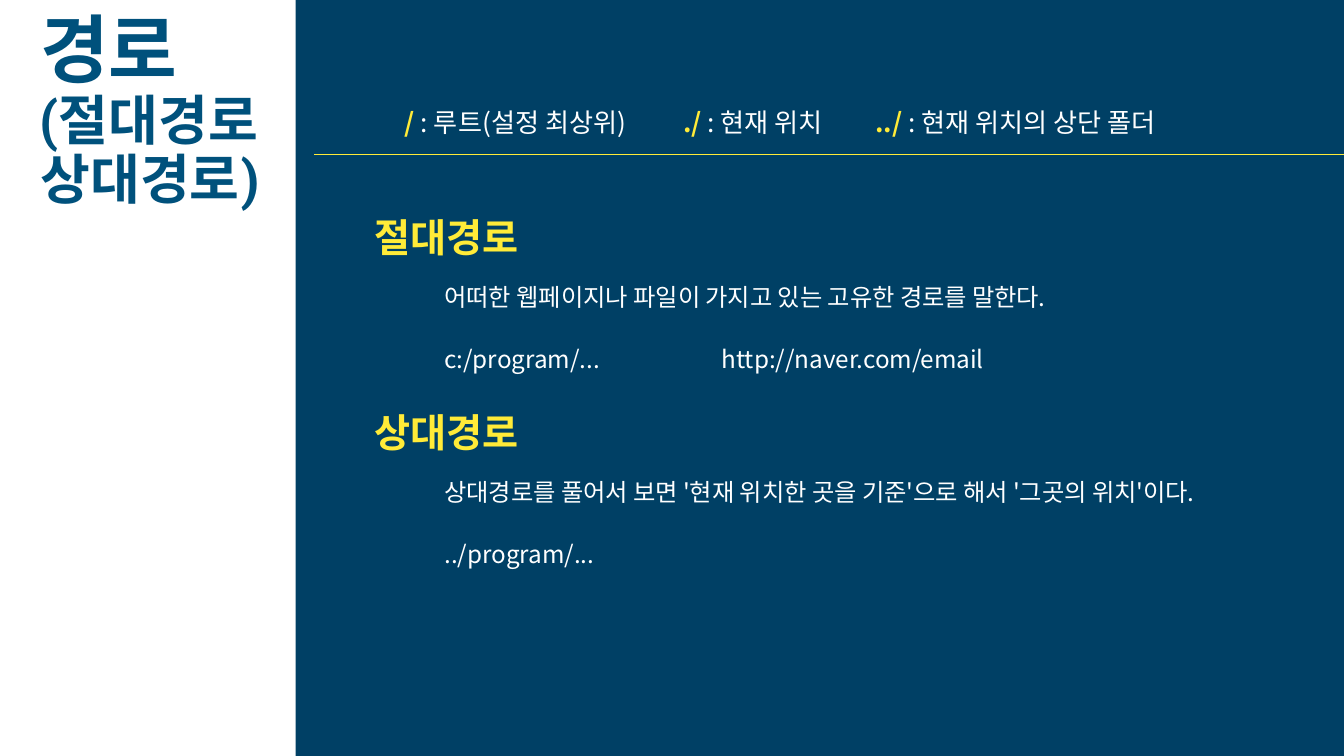
from lxml.etree import SubElement
from pptx import Presentation
from pptx.dml.color import RGBColor
from pptx.enum.shapes import MSO_CONNECTOR, MSO_SHAPE
from pptx.enum.text import MSO_ANCHOR as Anchor, MSO_AUTO_SIZE as AutoSize, PP_ALIGN as Align
from pptx.oxml.ns import qn
from pptx.util import Cm, Pt

NAVY, BLUE, YELLOW, WHITE = "004065", "00517C", "FFEB38", "FFFFFF"
BODY_FONT, HEADING_FONT, TITLE_FONT = "Noto Sans CJK KR", "Roboto", "Roboto Slab"


def color(value):
    return RGBColor.from_string(value)


class SlideBuilder:
    inset = Cm(0.25)

    def __init__(self, presentation):
        self.slide = presentation.slides.add_slide(presentation.slide_layouts[5])

    def format_frame(self, frame, anchor):
        frame.word_wrap = True
        frame.auto_size = AutoSize.NONE
        frame.vertical_anchor = anchor
        frame.margin_left = frame.margin_right = self.inset
        frame.margin_top = frame.margin_bottom = self.inset

    def format_paragraph(self, paragraph, name, size, fill, bold=False):
        paragraph.alignment = Align.LEFT
        font = paragraph.font
        font.name, font.size, font.bold = name, Pt(size), bold
        font.color.rgb = color(fill)
        properties = paragraph._p.pPr.find(qn("a:defRPr"))
        SubElement(properties, qn("a:ea")).set("typeface", name)

    def title(self, left, top, width, height, lines):
        shape = self.slide.shapes.title
        shape.left, shape.top, shape.width, shape.height = map(Cm, (left, top, width, height))
        frame = shape.text_frame
        self.format_frame(frame, Anchor.TOP)
        frame.margin_left = Cm(0.76)
        frame.text = "\n".join(text for text, size in lines)
        for paragraph, (text, size) in zip(frame.paragraphs, lines):
            paragraph.line_spacing = 0.9
            self.format_paragraph(paragraph, TITLE_FONT, size, BLUE, True)

    def panel(self, left, top, width, height):
        shape = self.slide.shapes.add_shape(
            MSO_SHAPE.ROUNDED_RECTANGLE, *map(Cm, (left, top, width, height)))
        shape.adjustments[0] = 0
        shape.shadow.inherit = False
        shape.fill.solid()
        shape.fill.fore_color.rgb = color(NAVY)
        shape.line.fill.background()

    def rule(self, left, right, y):
        line = self.slide.shapes.add_connector(
            MSO_CONNECTOR.STRAIGHT, Cm(left), Cm(y), Cm(right), Cm(y))
        line.line.color.rgb = color(YELLOW)
        line.line.width = Pt(0.75)
        SubElement(line._element.spPr, qn("a:effectLst"))

    def text_box(self, left, top, width, height, anchor):
        shape = self.slide.shapes.add_textbox(*map(Cm, (left, top, width, height)))
        self.format_frame(shape.text_frame, anchor)
        return shape.text_frame

    def heading(self, left, top, text):
        frame = self.text_box(left, top, 12.12, 1.63, Anchor.TOP)
        frame.text = text
        self.format_paragraph(frame.paragraphs[0], HEADING_FONT, 21, YELLOW, True)

    def body(self, left, top, width, text):
        frame = self.text_box(left, top, width, 1.12, Anchor.MIDDLE)
        frame.text = text
        self.format_paragraph(frame.paragraphs[0], BODY_FONT, 13, WHITE)

    def legend(self, left, top, width, entries, tabs):
        frame = self.text_box(left, top, width, 1.12, Anchor.MIDDLE)
        frame.margin_left = Cm(0.46)
        paragraph = frame.paragraphs[0]
        paragraph.line_spacing = 1.15
        tab_list = SubElement(paragraph._p.get_or_add_pPr(), qn("a:tabLst"))
        for position in tabs:
            tab = SubElement(tab_list, qn("a:tab"))
            tab.set("pos", str(Cm(position)))
            tab.set("algn", "l")
        self.format_paragraph(paragraph, BODY_FONT, 14, WHITE)
        for index, (symbol, meaning) in enumerate(entries):
            symbol_run = paragraph.add_run()
            symbol_run.text = ("\t" if index else "") + symbol + " "
            symbol_run.font.bold = True
            symbol_run.font.color.rgb = color(YELLOW)
            paragraph.add_run().text = ": " + meaning


def main():
    presentation = Presentation()
    presentation.slide_width, presentation.slide_height = Cm(25.4), Cm(14.28)
    builder = SlideBuilder(presentation)

    builder.title(0, 0, 8.33, 2.34, [("경로", 40), ("(절대경로", 29), ("상대경로)", 29)])
    builder.panel(5.59, 0, 20.24, 14.28)
    builder.legend(7.19, 1.7, 18.21, [
        ("/", "루트(설정 최상위)"),
        ("./", "현재 위치"),
        ("../", "현재 위치의 상단 폴더"),
    ], [5.26, 8.89])
    builder.rule(5.94, 25.6, 2.92)

    sections = [
        ("절대경로", "어떠한 웹페이지나 파일이 가지고 있는 고유한 경로를 말한다.",
         ["c:/program/...", "http://naver.com/email"]),
        ("상대경로", "상대경로를 풀어서 보면 '현재 위치한 곳을 기준'으로 해서 '그곳의 위치'이다.",
         ["../program/..."]),
    ]
    for row, (heading, description, examples) in enumerate(sections):
        top = 3.78 + 3.68 * row
        builder.heading(6.83, top, heading)
        builder.body(8.15, top + 1.27, 17.17, description)
        for column, example in enumerate(examples):
            builder.body(8.15 + 5.24 * column, top + 2.44, 5.05 + 2.44 * column, example)

    presentation.save("out.pptx")


if __name__ == "__main__":
    main()
